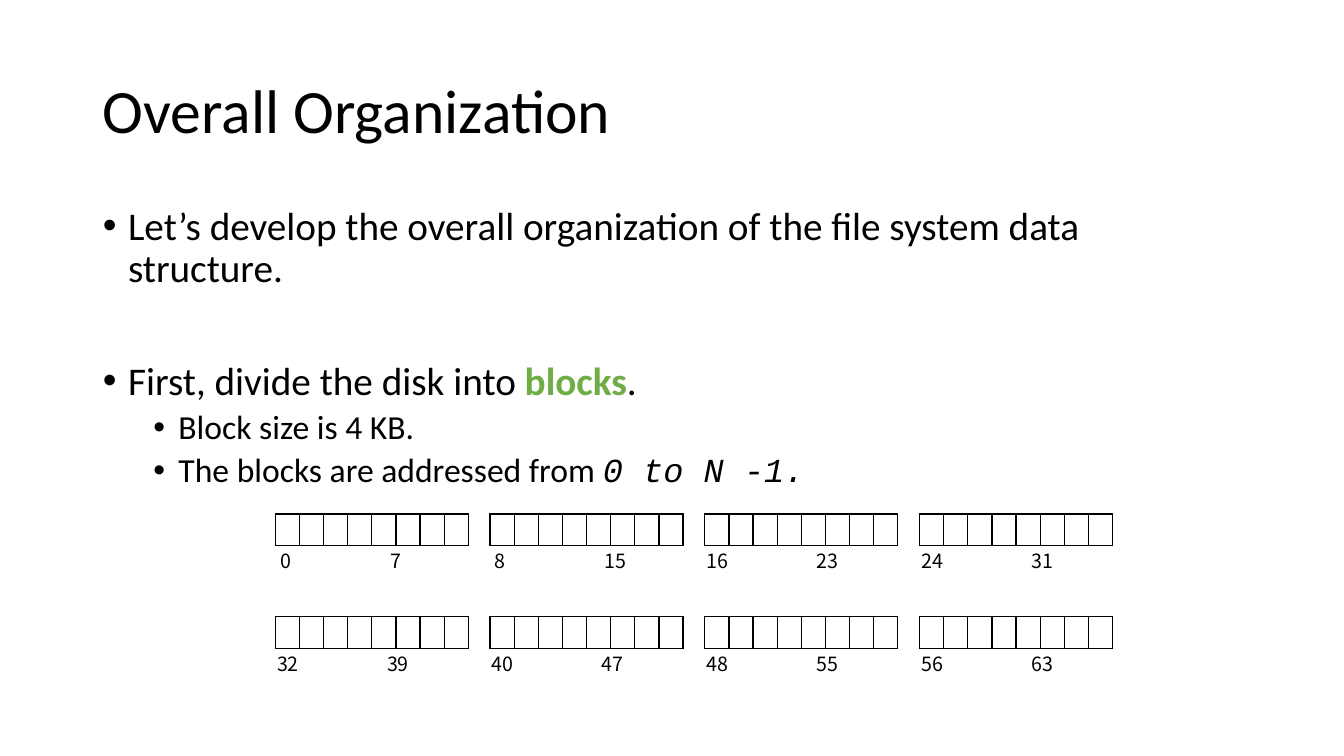
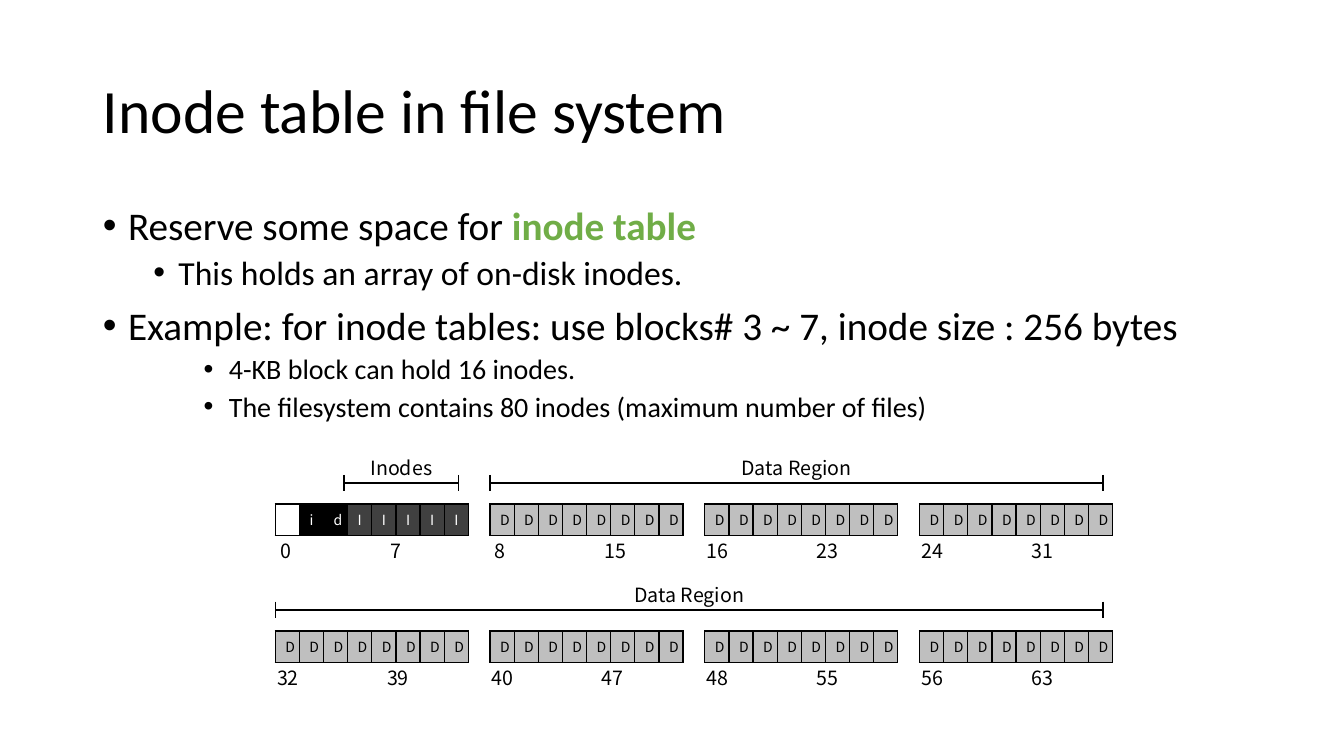
from lxml import etree
from pptx import Presentation, util as u
from pptx.dml.color import RGBColor
from pptx.enum import shapes, text
from pptx.oxml.ns import qn

W, H = 13.33, 7.5
BLACK, WHITE, GREEN = "000000", "FFFFFF", "70AD47"
BODY, CODE, LABEL = "Calibri", "Courier New", "Noto Sans CJK KR"
SIZES = (28, 24, 20)
LEFT, PITCH, WIDE, TALL = 2.73, 2.13, 1.82, 0.31
COLS, GROUPS = 8, 4
CELL = WIDE / COLS
LOOKS = {" ": (WHITE, BLACK), "i": (BLACK, WHITE), "d": (BLACK, WHITE),
         "I": ("404040", WHITE), "D": ("BFBFBF", BLACK)}


def ink(code):
    """Turn a hex string into a colour."""
    return RGBColor.from_string(code)


def sub(node, tag, **attrs):
    """Append a drawing element with attributes."""
    return etree.SubElement(node, qn("a:" + tag), attrs)


def style(font, size, name, color=BLACK):
    """Set the size, face and colour of a font."""
    font.size, font.name = u.Pt(size), name
    font.color.rgb = ink(color)


def place(shape, x, y, w, h):
    """Move a shape to a box in inches."""
    shape.left, shape.top = u.Inches(x), u.Inches(y)
    shape.width, shape.height = u.Inches(w), u.Inches(h)


def bullet(par, level, runs, before=None):
    """Fill one bulleted paragraph of the body from (text, kind) runs."""
    par.level, par.line_spacing = level, 0.9
    par.space_before = u.Pt(before or (5 if level else 10))
    style(par.font, SIZES[level], BODY)
    props = par._p.get_or_add_pPr()
    props.set("marL", str(u.Inches(0.25 + level / 2)))
    props.set("indent", str(u.Inches(-0.25)))
    mark = sub(props, "buChar", char="•")
    props.find(qn("a:defRPr")).addprevious(mark)
    for words, kind in runs:
        run = par.add_run()
        run.text = words
        if kind == "key":
            run.font.bold = True
            run.font.color.rgb = ink(GREEN)
        elif kind == "code":
            run.font.name, run.font.italic = CODE, True


def page(deck, title, items):
    """Add a slide with its title and bulleted list."""
    slide = deck.slides.add_slide(deck.slide_layouts[1])
    head, body = slide.placeholders
    head.text_frame.text = title
    par = head.text_frame.paragraphs[0]
    par.alignment, par.line_spacing = text.PP_ALIGN.LEFT, 0.9
    style(par.font, 44, BODY)
    frame = body.text_frame
    frame.auto_size = text.MSO_AUTO_SIZE.NONE
    for i, item in enumerate(items):
        bullet(frame.add_paragraph() if i else frame.paragraphs[0], *item)
    return slide


def note(slide, x, y, w, words, align=text.PP_ALIGN.LEFT):
    """Add a one-line label and return its paragraph."""
    box = slide.shapes.add_textbox(*map(u.Inches, (x, y, w, 0.34)))
    par = box.text_frame.paragraphs[0]
    par.text, par.alignment = words, align
    box.text_frame.word_wrap = True
    style(par.font, 14, LABEL)
    return par


def fill(cell, mark):
    """Colour, border and letter one block cell."""
    back, fore = LOOKS[mark]
    props = cell._tc.get_or_add_tcPr()
    for side in ("lnL", "lnR", "lnT", "lnB"):
        line = sub(props, side, w=str(u.Pt(1)))
        sub(sub(line, "solidFill"), "srgbClr", val=BLACK)
    cell.fill.solid()
    cell.fill.fore_color.rgb = ink(back)
    par = cell.text_frame.paragraphs[0]
    par.alignment = text.PP_ALIGN.CENTER
    style(par.font, 10, LABEL, fore)
    if mark.strip():
        par.text = mark
    else:
        sub(par._p, "endParaRPr", sz="1000")


def group(slide, x, y, first, marks):
    """Draw eight blocks with the first and last number below."""
    table = slide.shapes.add_table(
        1, COLS, *map(u.Inches, (x, y, WIDE, TALL))).table
    table.first_row = table.horz_banding = False
    for col, cell, mark in zip(table.columns, table.rows[0].cells, marks):
        col.width = u.Inches(CELL)
        fill(cell, mark)
    shift = 0.05 if first < 10 else 0.08
    par = note(slide, x - shift, y + TALL - 0.01, 2.05,
               f"{first}\t{first + COLS - 1}")
    props = par._p.get_or_add_pPr()
    tabs = sub(props, "tabLst")
    sub(tabs, "tab", pos=str(u.Inches(1.09)), algn="l")
    props.find(qn("a:defRPr")).addprevious(tabs)


def strip(slide, y, first, marks):
    """Draw one row of block groups."""
    for i in range(GROUPS):
        at = i * COLS
        group(slide, LEFT + i * PITCH, y, first + at, marks[at:at + COLS])


def line(slide, *ends):
    """Draw a thin black line between two points."""
    wire = slide.shapes.add_connector(
        shapes.MSO_CONNECTOR.STRAIGHT, *map(u.Inches, ends))
    wire.line.color.rgb, wire.line.width = ink(BLACK), u.Pt(1)
    sub(wire._element.spPr, "effectLst")


def span(slide, y, first, last, words):
    """Bracket and name the blocks first to last of the row at y."""
    x, end = (LEFT + n // COLS * PITCH + n % COLS * CELL
              for n in (first, last))
    end, mid = end + CELL, y - 0.21
    line(slide, x, mid, end, mid)
    for tip in (x, end):
        line(slide, tip, mid - 0.08, tip, mid + 0.08)
    note(slide, (x + end) / 2 - 0.7, mid - 0.32, 1.4, words,
         text.PP_ALIGN.CENTER)


def blocks(deck):
    """Build the slide on dividing the disk."""
    slide = page(deck, "Overall Organization", [
        (0, [("Let’s develop the overall organization of the file system "
              "data structure.", "")]),
        (0, [("First, divide the disk into ", ""), ("blocks", "key"),
             (".", "")], 50),
        (1, [("Block size is 4 KB.", "")]),
        (1, [("The blocks are addressed from ", ""),
             ("0 to N -1.", "code")])])
    for y, first in ((5.1, 0), (6.12, 32)):
        strip(slide, y, first, " " * 32)


def inodes(deck):
    """Build the slide on the inode table."""
    slide = page(deck, "Inode table in file system", [
        (0, [("Reserve some space for ", ""), ("inode table", "key")]),
        (1, [("This holds an array of on-disk inodes.", "")]),
        (0, [("Example: for inode tables: use blocks# 3 ~ 7, "
              "inode size : 256 bytes", "")]),
        (2, [("4-KB block can hold 16 inodes.", "")]),
        (2, [("The filesystem contains 80 inodes "
              "(maximum number of files)", "")])])
    top, low = 5, 6.26
    strip(slide, top, 0, " id" + "I" * 5 + "D" * 24)
    strip(slide, low, 32, "D" * 32)
    span(slide, top, 3, 7, "Inodes")
    span(slide, top, 8, 31, "Data Region")
    span(slide, low, 0, 31, "Data Region")


def main():
    """Set up the shared layout and save both slides."""
    deck = Presentation()
    deck.slide_width, deck.slide_height = u.Inches(W), u.Inches(H)
    head, body = list(deck.slide_layouts[1].placeholders)[:2]
    place(head, 0.92, 0.4, 11.5, 1.45)
    place(body, 0.92, 2, 11.5, 4.76)
    blocks(deck)
    inodes(deck)
    deck.save("out.pptx")


if __name__ == "__main__":
    main()
